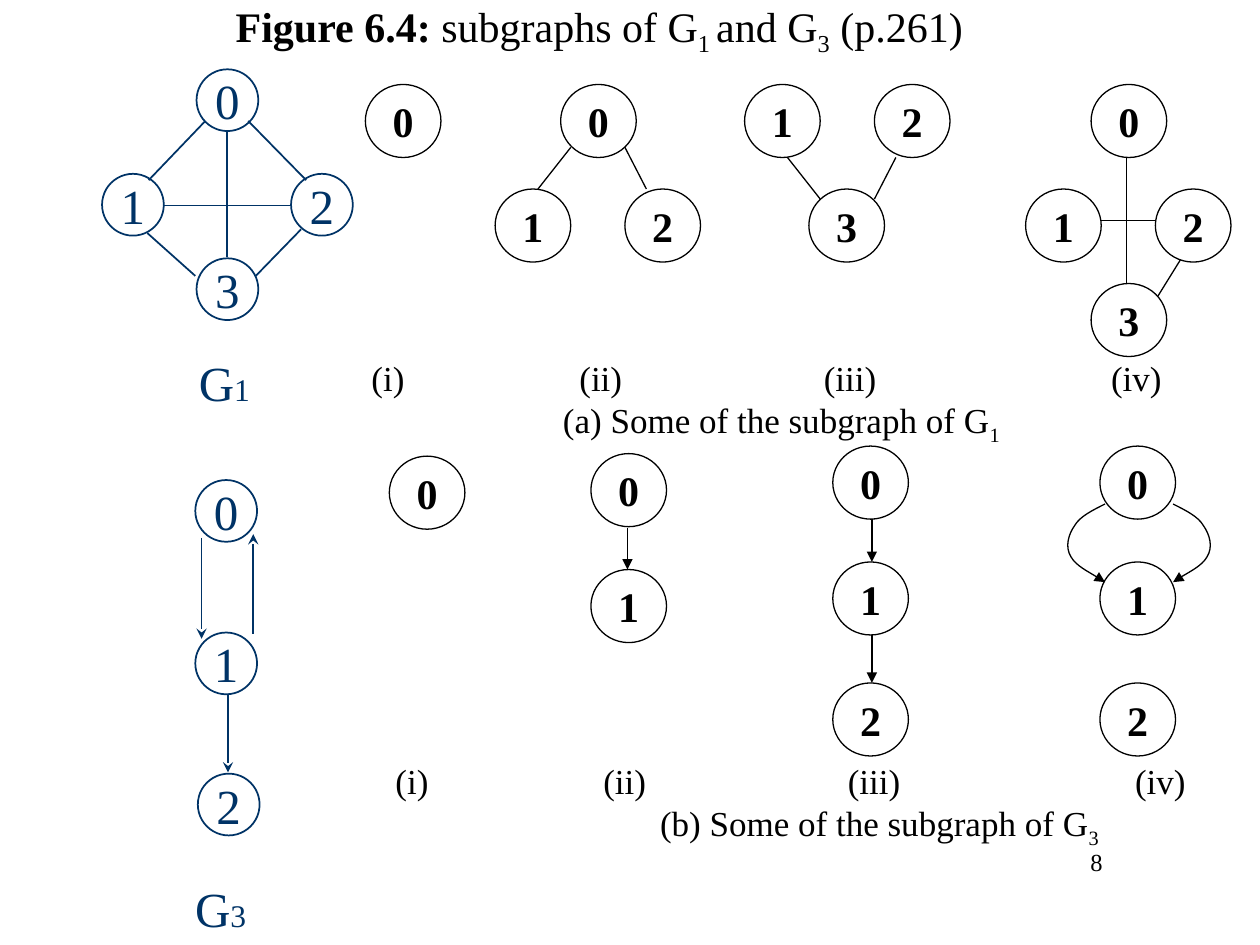
from dataclasses import dataclass
from typing import NamedTuple

from lxml.etree import SubElement
from pptx import Presentation
from pptx.dml.color import RGBColor
from pptx.enum.shapes import MSO_CONNECTOR, MSO_SHAPE
from pptx.enum.text import MSO_ANCHOR, MSO_AUTO_SIZE, PP_ALIGN
from pptx.oxml.ns import qn
from pptx.util import Inches, Pt

BLACK = RGBColor(0x00, 0x00, 0x00)
NAVY = RGBColor(0x00, 0x33, 0x66)
WHITE = RGBColor(0xFF, 0xFF, 0xFF)
FONT = "Times New Roman"
SUBSCRIPT = "-25000"


class Node(NamedTuple):
    label: str
    left: float
    top: float


class Edge(NamedTuple):
    x1: float
    y1: float
    x2: float
    y2: float
    directed: bool = False


class TextRun(NamedTuple):
    text: str
    size: int
    subscript: bool = False
    bold: bool = False


@dataclass(frozen=True)
class GraphStyle:
    width: float
    height: float
    color: RGBColor
    line_width: float
    font_size: int
    bold: bool
    arrowhead: str
    fill: RGBColor | None = None


SUBGRAPH = GraphStyle(0.6, 0.58, BLACK, 0.75, 24, True, "triangle")
FULL_GRAPH = GraphStyle(0.49, 0.49, NAVY, 1, 28, False, "stealth", WHITE)

G1_NODES = [Node("0", 1.56, 0.55), Node("1", 0.81, 1.38),
            Node("2", 2.31, 1.38), Node("3", 1.56, 2.05)]
G1_EDGES = [Edge(1.8, 1.04, 1.8, 2.04), Edge(1.3, 1.63, 2.3, 1.63),
            Edge(1.63, 0.96, 1.18, 1.43), Edge(1.97, 0.96, 2.43, 1.43),
            Edge(1.17, 1.85, 1.55, 2.19), Edge(2.39, 1.82, 2.03, 2.19)]
G3_NODES = [Node("0", 1.55, 3.81), Node("1", 1.55, 5.02), Node("2", 1.57, 6.14)]
G3_EDGES = [Edge(1.81, 5.52, 1.81, 6.13, True), Edge(2.01, 5.03, 2.01, 4.24, True),
            Edge(1.6, 4.27, 1.6, 5.07, True)]

G1_SUBGRAPH_NODES = [
    Node("0", 2.9, 0.67),
    Node("0", 4.45, 0.67), Node("1", 3.93, 1.5), Node("2", 4.96, 1.5),
    Node("3", 6.42, 1.5), Node("1", 5.91, 0.67), Node("2", 6.94, 0.67),
    Node("0", 8.66, 0.67), Node("1", 8.14, 1.5), Node("2", 9.17, 1.5),
    Node("3", 8.66, 2.25),
]
G1_SUBGRAPH_EDGES = [
    Edge(4.53, 1.17, 4.27, 1.5), Edge(4.96, 1.17, 5.13, 1.5),
    Edge(6.51, 1.58, 6.25, 1.25), Edge(6.94, 1.58, 7.11, 1.25),
    Edge(8.74, 1.75, 9.17, 1.75), Edge(8.94, 1.25, 8.94, 2.25),
    Edge(9.37, 2.06, 9.19, 2.35),
]
G3_SUBGRAPH_NODES = [
    Node("0", 3.09, 3.62),
    Node("0", 4.69, 3.6), Node("1", 4.69, 4.52),
    *[Node(label, left, top) for left in (6.61, 8.73)
      for label, top in (("0", 3.54), ("1", 4.46), ("2", 5.42))],
]
G3_SUBGRAPH_EDGES = [
    Edge(4.98, 4.19, 4.98, 4.52, True), Edge(6.92, 4.12, 6.92, 4.46, True),
    Edge(6.92, 5.04, 6.92, 5.42, True),
]
# Start point, then two control points and an end point for each curve
LEFT_LOOP = [(8.77, 4), (8.67, 4.05), (8.57, 4.1), (8.53, 4.17), (8.48, 4.24),
             (8.45, 4.34), (8.5, 4.42), (8.54, 4.49), (8.73, 4.59), (8.77, 4.62)]
LOOP_AXIS = 9.04
RIGHT_LOOP = [(2 * LOOP_AXIS - x, y) for x, y in LEFT_LOOP]

COLUMN_TABS = (1.65, 3.59, 5.87)


def style_line(shape, style: GraphStyle, directed: bool = False) -> None:
    shape.line.color.rgb = style.color
    shape.line.width = Pt(style.line_width)
    if directed:
        SubElement(shape.line._get_or_add_ln(), qn("a:tailEnd"), type=style.arrowhead)


def add_runs(paragraph, runs: list[TextRun], color: RGBColor) -> None:
    for item in runs:
        run = paragraph.add_run()
        run.text = item.text
        formats = {"name": FONT, "size": Pt(item.size), "bold": item.bold}
        for name, value in formats.items():
            setattr(run.font, name, value)
        run.font.color.rgb = color
        if item.subscript:
            run.font._element.set("baseline", SUBSCRIPT)


def add_node(shapes, node: Node, style: GraphStyle) -> None:
    shape = shapes.add_shape(MSO_SHAPE.OVAL, Inches(node.left), Inches(node.top),
                             Inches(style.width), Inches(style.height))
    shape.shadow.inherit = False
    if style.fill is None:
        shape.fill.background()
    else:
        shape.fill.solid()
        shape.fill.fore_color.rgb = style.fill
    style_line(shape, style)
    shape.text_frame.word_wrap = False
    shape.text_frame.vertical_anchor = MSO_ANCHOR.MIDDLE
    paragraph = shape.text_frame.paragraphs[0]
    paragraph.alignment = PP_ALIGN.CENTER
    add_runs(paragraph, [TextRun(node.label, style.font_size, bold=style.bold)], style.color)


def add_edge(shapes, edge: Edge, style: GraphStyle) -> None:
    ends = [Inches(value) for value in edge[:4]]
    connector = shapes.add_connector(MSO_CONNECTOR.STRAIGHT, *ends)
    style_line(connector, style, edge.directed)
    SubElement(connector._element.spPr, qn("a:effectLst"))


def add_curved_edge(shapes, points: list[tuple[float, float]], style: GraphStyle) -> None:
    """Draw a directed edge, turning each three points after the start into a cubic curve."""
    corners = [(Inches(x), Inches(y)) for x, y in points]
    builder = shapes.build_freeform(*corners[0])
    builder.add_line_segments(corners[1:], close=False)
    shape = builder.convert_to_shape()
    path = next(shape._element.iter(qn("a:path")))
    segments = path.findall(qn("a:lnTo"))
    for first in range(0, len(segments), 3):
        curve = SubElement(path, qn("a:cubicBezTo"))
        for segment in segments[first:first + 3]:
            curve.append(segment[0])
            path.remove(segment)
    shape.shadow.inherit = False
    shape.fill.background()
    style_line(shape, style, directed=True)


def add_graph(shapes, nodes: list[Node], edges: list[Edge], style: GraphStyle) -> None:
    for node in nodes:
        add_node(shapes, node, style)
    for edge in edges:
        add_edge(shapes, edge, style)


def add_text(shapes, box: tuple[float, ...], runs: list[TextRun], color: RGBColor,
             alignment=PP_ALIGN.LEFT):
    frame = shapes.add_textbox(*map(Inches, box)).text_frame
    frame.word_wrap = True
    frame.paragraphs[0].alignment = alignment
    add_runs(frame.paragraphs[0], runs, color)
    return frame


def add_captions(shapes, left: float, top: float, caption: str, graph: str,
                 indent: float) -> None:
    """Write the column numbers on tab stops and the row's caption below them."""
    numbers = [TextRun("(i)\t(ii)\t(iii)\t(iv)", 20)]
    frame = add_text(shapes, (left, top, 6.57, 0.82), numbers, BLACK)
    tabs = SubElement(frame.paragraphs[0]._p.get_or_add_pPr(), qn("a:tabLst"))
    for position in COLUMN_TABS:
        SubElement(tabs, qn("a:tab"), pos=str(Inches(position)), algn="l")
    paragraph = frame.add_paragraph()
    paragraph._p.get_or_add_pPr().set("marL", str(Inches(indent)))
    add_runs(paragraph, [TextRun(caption, 20), TextRun(graph, 20, True)], BLACK)


def format_title(title) -> None:
    place = {"left": 1.77, "top": 0, "width": 8.2, "height": 0.5}
    for name, value in place.items():
        setattr(title, name, Inches(value))
    frame = title.text_frame
    formats = {"auto_size": MSO_AUTO_SIZE.NONE, "vertical_anchor": MSO_ANCHOR.TOP,
               "margin_top": 0, "margin_bottom": 0, "word_wrap": True}
    for name, value in formats.items():
        setattr(frame, name, value)
    frame.paragraphs[0].alignment = PP_ALIGN.LEFT
    add_runs(frame.paragraphs[0], [
        TextRun("Figure 6.4:", 24, bold=True), TextRun(" subgraphs of G", 24),
        TextRun("1 ", 24, True), TextRun("and G", 24),
        TextRun("3", 24, True), TextRun(" (p.261)", 24)], BLACK)


def main() -> None:
    presentation = Presentation()
    presentation.slide_width = Inches(10)
    presentation.slide_height = Inches(7.5)
    slide = presentation.slides.add_slide(presentation.slide_layouts[5])
    shapes = slide.shapes
    format_title(shapes.title)
    add_text(shapes, (6.77, 6.67, 2.08, 0.5), [TextRun("8", 14)], BLACK, PP_ALIGN.RIGHT)

    add_graph(shapes.add_group_shape().shapes, G1_SUBGRAPH_NODES, G1_SUBGRAPH_EDGES, SUBGRAPH)
    add_captions(shapes, 2.85, 2.78, "(a) Some of the subgraph of G", "1", 1.52)
    g3_subgraphs = shapes.add_group_shape().shapes
    add_graph(g3_subgraphs, G3_SUBGRAPH_NODES, G3_SUBGRAPH_EDGES, SUBGRAPH)
    for loop in (LEFT_LOOP, RIGHT_LOOP):
        add_curved_edge(g3_subgraphs, loop, SUBGRAPH)
    add_captions(shapes, 3.04, 5.98, "(b) Some of the subgraph of G", "3", 2.1)

    add_graph(shapes, G1_NODES, G1_EDGES, FULL_GRAPH)
    add_graph(shapes, G3_NODES, G3_EDGES, FULL_GRAPH)
    for number, left, top in (("1", 1.48, 2.75), ("3", 1.45, 6.92)):
        add_text(shapes, (left, top, 0.7, 0.57),
                 [TextRun("G", 28), TextRun(number, 18)], NAVY)
    presentation.save("out.pptx")


if __name__ == "__main__":
    main()
